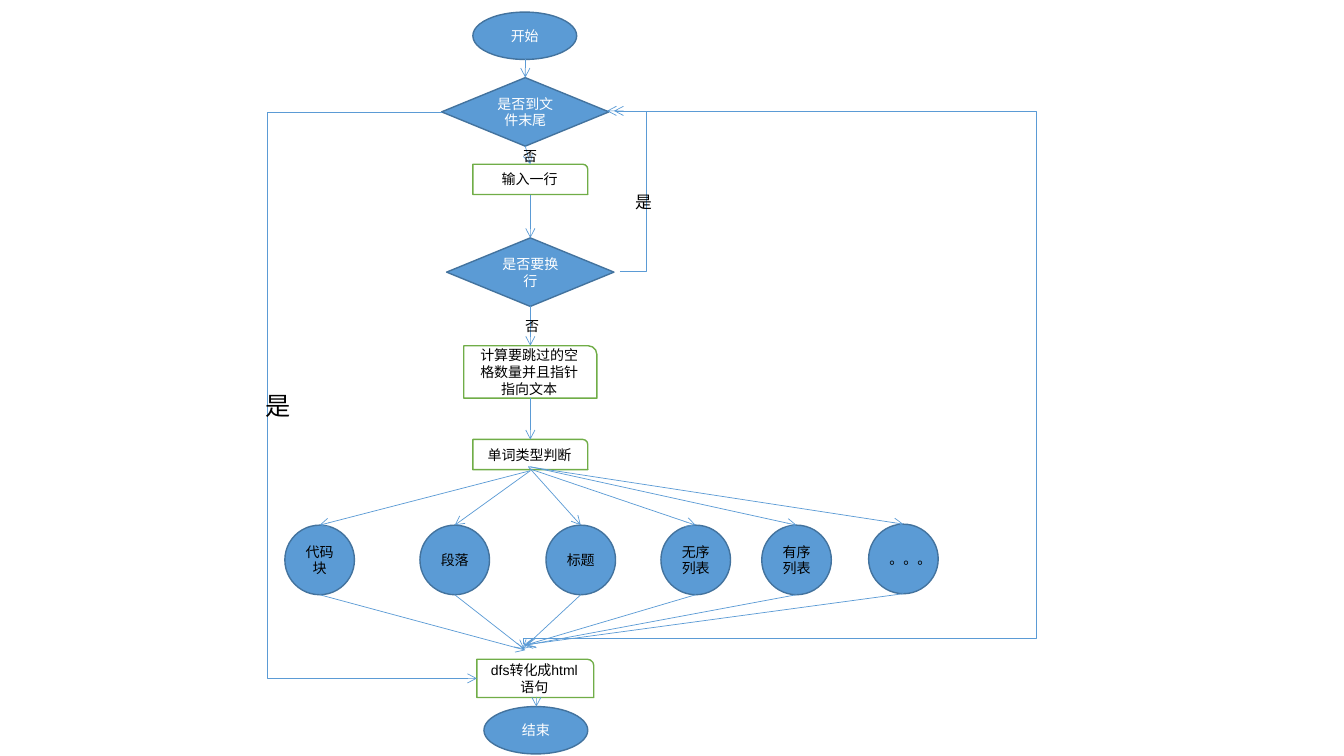
from pptx import Presentation
from pptx.dml.color import RGBColor
from pptx.enum.shapes import MSO_CONNECTOR, MSO_SHAPE
from pptx.enum.text import MSO_ANCHOR, MSO_AUTO_SIZE, PP_ALIGN
from pptx.oxml.ns import qn
from pptx.util import Inches, Pt
from lxml import etree

BLUE = RGBColor(0x5B, 0x9B, 0xD5)
DARK_BLUE = RGBColor(0x43, 0x73, 0x9E)
GREEN = RGBColor(0x70, 0xAD, 0x47)
WHITE = RGBColor(0xFF, 0xFF, 0xFF)
BLACK = RGBColor(0, 0, 0)


class FlowChart:
    font = "Arial"
    size = 10

    def __init__(self, slide):
        self.shapes = slide.shapes

    def set_text(self, tf, text, color, size):
        tf.text = text
        tf.word_wrap = True
        for r in tf.paragraphs[0].runs:
            r.font.name = self.font
            r.font.size = Pt(size)
            r.font.color.rgb = color

    def node(self, kind, x, y, w, h, text, fill, line, color):
        s = self.shapes.add_shape(kind, Inches(x), Inches(y), Inches(w), Inches(h))
        s.shadow.inherit = False
        s.fill.solid()
        s.fill.fore_color.rgb = fill
        s.line.color.rgb = line
        s.line.width = Pt(1)
        tf = s.text_frame
        self.set_text(tf, text, color, self.size)
        tf.vertical_anchor = MSO_ANCHOR.MIDDLE
        tf.paragraphs[0].alignment = PP_ALIGN.CENTER

    def terminal(self, x, y, text):
        self.node(MSO_SHAPE.OVAL, x, y, 1.03, 0.47, text, BLUE, DARK_BLUE, WHITE)

    def decision(self, x, y, text):
        self.node(MSO_SHAPE.FLOWCHART_DECISION, x, y, 1.66, 0.68, text,
                  BLUE, DARK_BLUE, WHITE)

    def step(self, x, y, w, h, text):
        self.node(MSO_SHAPE.ROUND_1_RECTANGLE, x, y, w, h, text, WHITE, GREEN, BLACK)

    def block_type(self, center, y, text):
        d = 0.69
        self.node(MSO_SHAPE.OVAL, center - d / 2, y, d, d, text, BLUE, DARK_BLUE, BLACK)

    def label(self, x, y, w, h, text, size):
        tb = self.shapes.add_textbox(Inches(x), Inches(y), Inches(w), Inches(h))
        self.set_text(tb.text_frame, text, BLACK, size)
        tb.text_frame.auto_size = MSO_AUTO_SIZE.SHAPE_TO_FIT_TEXT

    def arrow(self, x1, y1, x2, y2, kind=MSO_CONNECTOR.STRAIGHT):
        c = self.shapes.add_connector(kind, Inches(x1), Inches(y1), Inches(x2), Inches(y2))
        c.line.color.rgb = BLUE
        c.line.width = Pt(0.5)
        sp_pr = c._element.spPr
        etree.SubElement(sp_pr.find(qn("a:ln")), qn("a:tailEnd"), type="arrow")
        etree.SubElement(sp_pr, qn("a:effectLst"))
        return c

    def elbow(self, x1, y1, x2, y2, bends, turn=0):
        """Bends are fractions of the connector's box, turn is in degrees."""
        c = self.arrow(x1, y1, x2, y2, MSO_CONNECTOR.ELBOW)
        sp_pr = c._element.spPr
        sp_pr.find(qn("a:xfrm")).set("rot", str(turn * 60000))
        geom = sp_pr.find(qn("a:prstGeom"))
        geom.set("prst", f"bentConnector{len(bends) + 2}")
        guides = geom.find(qn("a:avLst"))
        for i, bend in enumerate(bends, 1):
            etree.SubElement(guides, qn("a:gd"), name=f"adj{i}",
                             fmla=f"val {round(bend * 100000)}")


def main():
    prs = Presentation()
    prs.slide_width, prs.slide_height = Inches(13.33), Inches(7.5)
    chart = FlowChart(prs.slides.add_slide(prs.slide_layouts[6]))

    # Main column
    chart.terminal(4.69, 0.12, "开始")
    chart.decision(4.38, 0.77, "是否到文件末尾")
    chart.step(4.69, 1.63, 1.14, 0.3, "输入一行")
    chart.decision(4.43, 2.36, "是否要换行")
    chart.step(4.6, 3.43, 1.32, 0.52, "计算要跳过的空格数量并且指针指向文本")
    chart.step(4.69, 4.36, 1.14, 0.3, "单词类型判断")
    chart.step(4.73, 6.54, 1.16, 0.38, "dfs转化成html语句")
    chart.terminal(4.8, 7.01, "结束")

    # Arrows down the column
    for x1, y1, x2, y2 in [(5.21, 0.59, 5.21, 0.77), (5.21, 1.45, 5.26, 1.63),
                           (5.26, 1.93, 5.26, 2.36), (5.26, 3.04, 5.26, 3.43),
                           (5.26, 3.95, 5.26, 4.36), (5.32, 6.92, 5.32, 7.01)]:
        chart.arrow(x1, y1, x2, y2)

    # Block types: center, top, text, start of arrow in, end of arrow out
    types = [
        (3.17, 5.21, "代码块", (5.26, 4.67), (5.21, 6.45)),
        (4.51, 5.21, "段落", (5.26, 4.67), (5.2, 6.44)),
        (5.76, 5.21, "标题", (5.24, 4.63), (5.18, 6.44)),
        (6.9, 5.21, "无序列表", (5.25, 4.65), (5.21, 6.4)),
        (7.9, 5.21, "有序列表", (5.26, 4.63), (5.22, 6.4)),
        (8.96, 5.2, "。。。", (5.24, 4.63), (5.19, 6.4)),
    ]
    for center, top, text, source, target in types:
        chart.block_type(center, top, text)
        chart.arrow(*source, center, top)
        chart.arrow(center, top + 0.69, *target)

    # Loops back to the first decision, and the exit on the left
    chart.elbow(6.15, 2.69, 6.09, 1.1, [-4.33])
    chart.elbow(2.96, 3.33, 8.25, 4.16, [0.01, 6.13], turn=270)
    chart.elbow(4.38, 1.11, 4.73, 6.73, [-4.94])

    # Branch labels
    chart.label(5.09, 1.41, 0.35, 0.27, "否", 10)
    chart.label(5.11, 3.1, 0.2, 0.27, "否", 10)
    chart.label(6.2, 1.85, 0.26, 0.3, "是", 12)
    chart.label(2.53, 3.82, 0.51, 0.4, "是", 18)

    prs.save("out.pptx")


if __name__ == "__main__":
    main()
